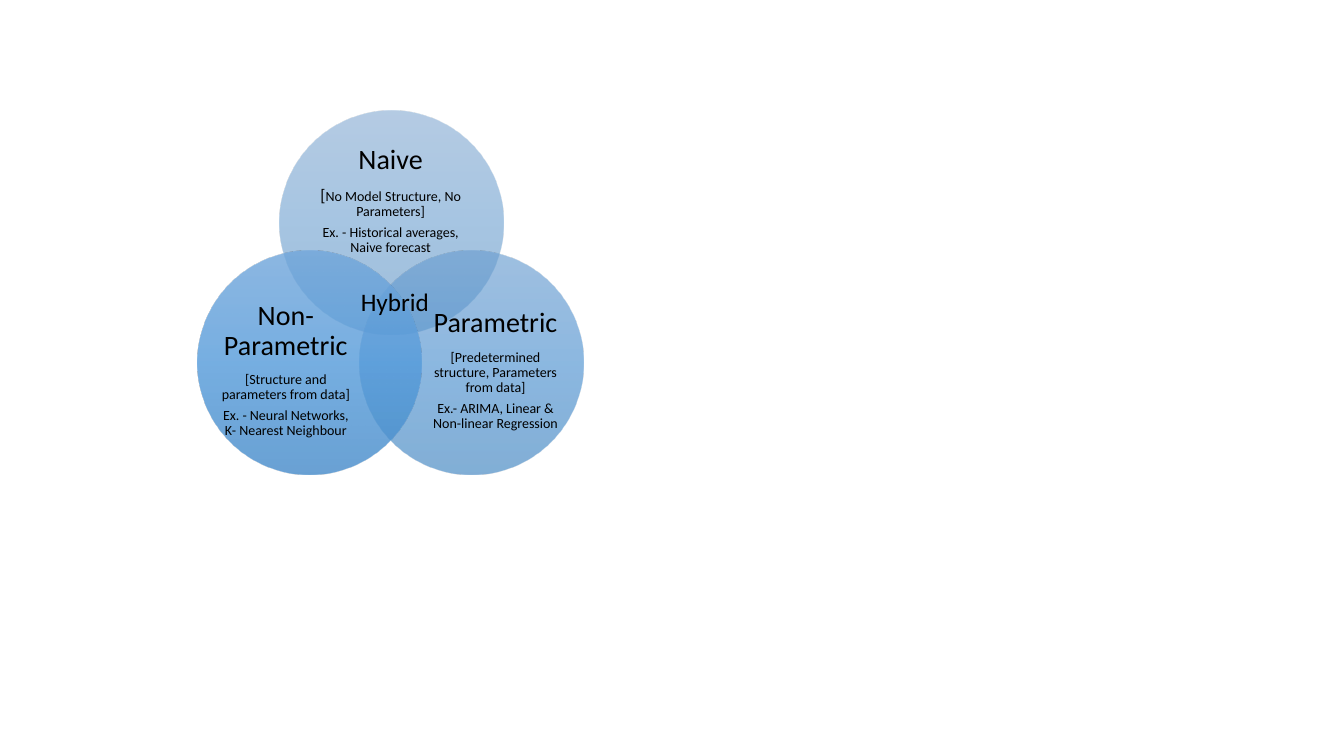
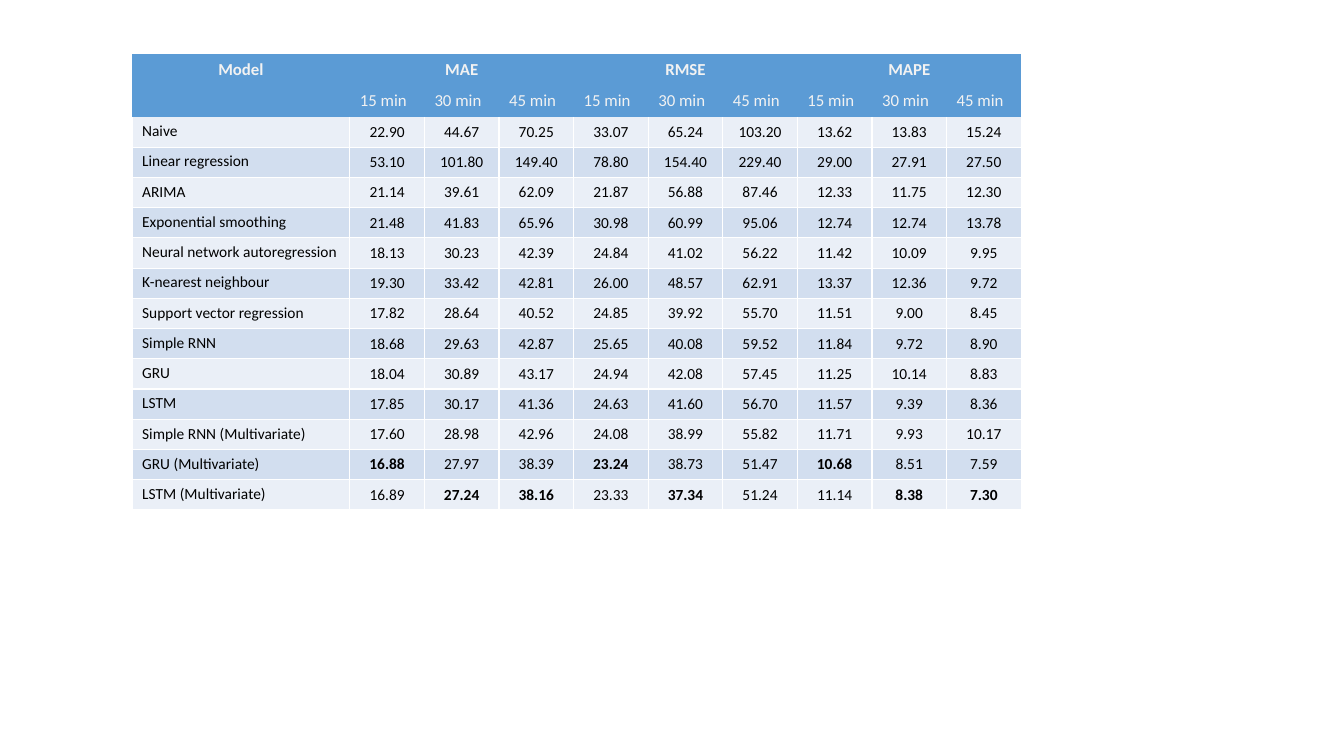
import pptx
import pptx.util
import pptx.dml.color
import pptx.enum.shapes
import pptx.enum.text
import pptx.oxml
import pptx.oxml.ns

Inches, Pt = pptx.util.Inches, pptx.util.Pt
ALIGN = pptx.enum.text.PP_ALIGN
ANCHOR = pptx.enum.text.MSO_ANCHOR
NS = pptx.oxml.ns.nsdecls("a")
FONT = "Calibri"
BLACK, WHITE, HEAD_TEXT = "000000", "FFFFFF", "F2F2F2"
HEAD_FILL, BAND_FILLS = "5B9BD5", ["EAEFF7", "D2DEEF"]
NO_STYLE = "{2D5ABB26-0587-4C30-8999-92F81FD0307C}"


def rgb(color):
    return pptx.dml.color.RGBColor.from_string(color)


def add_text(p, text, size=10, color=BLACK, bold=False, align=ALIGN.LEFT):
    p.alignment = align
    if not text:
        p._p.get_or_add_endParaRPr().set("sz", str(size * 100))
        return
    r = p.add_run()
    r.text = text
    r.font.name = FONT
    r.font.size = Pt(size)
    r.font.bold = bold
    r.font.color.rgb = rgb(color)


prs = pptx.Presentation()
prs.slide_width = Inches(13.33)
prs.slide_height = Inches(7.5)
blank = prs.slide_layouts[6]

s = prs.slides.add_slide(blank)
venn = s.shapes.add_group_shape()
circles = [
    (2.77, 1.1, ["6B99C9", "4D8DC7", "3E7EB7"], 50, (3.06, 1.49, 1.63, 1),
     [[("Naive", 20)],
      [("[", 12), ("No Model Structure, No Parameters]", 10)],
      [("Ex. - Historical averages, Naive forecast", 10)]]),
    (3.57, 2.49, ["6EA0D2", "5194D2", "4184C1"], 65, (4.25, 3.06, 1.33, 1.22),
     [[("Parametric", 20)],
      [("[Predetermined structure, Parameters from data]", 10)],
      [("Ex.- ARIMA, Linear & Non-linear Regression", 10)]]),
    (1.96, 2.49, ["72A7DB", "569CDB", "458BCA"], 80, (2.17, 3.06, 1.33, 1.22),
     [[("Non-Parametric", 20)],
      [("[Structure and parameters from data]", 10)],
      [("Ex. - Neural Networks, K- Nearest Neighbour", 10)]]),
]
for x, y, colors, opacity, box, paragraphs in circles:
    sp = venn.shapes.add_shape(pptx.enum.shapes.MSO_SHAPE.OVAL,
                               Inches(x), Inches(y), Inches(2.22), Inches(2.22))
    sp.shadow.inherit = False
    sp.line.fill.background()
    stops = "".join(
        f'<a:gs pos="{i * 50000}"><a:srgbClr val="{c}">'
        f'<a:alpha val="{opacity * 1000}"/></a:srgbClr></a:gs>'
        for i, c in enumerate(colors))
    sp._element.spPr.find(pptx.oxml.ns.qn("a:prstGeom")).addnext(pptx.oxml.parse_xml(
        f'<a:gradFill {NS} rotWithShape="1"><a:gsLst>{stops}</a:gsLst>'
        '<a:lin ang="5400000" scaled="0"/></a:gradFill>'))

    tf = venn.shapes.add_textbox(*[Inches(v) for v in box]).text_frame
    tf.word_wrap = True
    tf.vertical_anchor = ANCHOR.MIDDLE
    tf.margin_left = tf.margin_right = tf.margin_top = tf.margin_bottom = 0
    for i, runs in enumerate(paragraphs):
        p = tf.add_paragraph() if i else tf.paragraphs[0]
        p.line_spacing = 0.9
        p.space_after = Pt(0.4 * runs[-1][1])
        for text, size in runs:
            add_text(p, text, size=size, align=ALIGN.CENTER)

tf = s.shapes.add_textbox(Inches(3.48), Inches(2.79), Inches(0.97), Inches(0.4)).text_frame
tf.word_wrap = True
add_text(tf.paragraphs[0], "Hybrid", size=18)

s = prs.slides.add_slide(blank)
rows = [
    ["Model", "MAE", "", "", "RMSE", "", "", "MAPE", "", ""],
    [""] + ["15 min", "30 min", "45 min"] * 3,
]
results = [
    ("Naive", "22.90 44.67 70.25 33.07 65.24 103.20 13.62 13.83 15.24"),
    ("Linear regression", "53.10 101.80 149.40 78.80 154.40 229.40 29.00 27.91 27.50"),
    ("ARIMA", "21.14 39.61 62.09 21.87 56.88 87.46 12.33 11.75 12.30"),
    ("Exponential smoothing", "21.48 41.83 65.96 30.98 60.99 95.06 12.74 12.74 13.78"),
    ("Neural network autoregression", "18.13 30.23 42.39 24.84 41.02 56.22 11.42 10.09 9.95"),
    ("K-nearest neighbour", "19.30 33.42 42.81 26.00 48.57 62.91 13.37 12.36 9.72"),
    ("Support vector regression", "17.82 28.64 40.52 24.85 39.92 55.70 11.51 9.00 8.45"),
    ("Simple RNN", "18.68 29.63 42.87 25.65 40.08 59.52 11.84 9.72 8.90"),
    ("GRU", "18.04 30.89 43.17 24.94 42.08 57.45 11.25 10.14 8.83"),
    ("LSTM", "17.85 30.17 41.36 24.63 41.60 56.70 11.57 9.39 8.36"),
    ("Simple RNN (Multivariate)", "17.60 28.98 42.96 24.08 38.99 55.82 11.71 9.93 10.17"),
    ("GRU (Multivariate)", "16.88 27.97 38.39 23.24 38.73 51.47 10.68 8.51 7.59"),
    ("LSTM (Multivariate)", "16.89 27.24 38.16 23.33 37.34 51.24 11.14 8.38 7.30"),
]
best = {"16.88", "27.24", "38.16", "23.24", "37.34", "10.68", "8.38", "7.30"}
rows += [[model] + values.split() for model, values in results]

tbl = s.shapes.add_table(len(rows), 10, Inches(1.31), Inches(0.54),
                         Inches(8.82), Inches(4.52)).table
tbl._tbl.tblPr[0].text = NO_STYLE
tbl.first_row = tbl.horz_banding = False
for j, col in enumerate(tbl.columns):
    col.width = Inches(0.74 if j else 2.16)
for j in (1, 4, 7):
    tbl.cell(0, j).merge(tbl.cell(0, j + 2))

for i, row in enumerate(rows):
    header = i < 2
    tbl.rows[i].height = Inches(0.31 if header else 0.3)
    for j, text in enumerate(row):
        cell = tbl.cell(i, j)
        p = cell.text_frame.paragraphs[0]
        if header:
            add_text(p, text, size=12, color=HEAD_TEXT, bold=i == 0,
                     align=ALIGN.LEFT if i else ALIGN.CENTER)
        else:
            add_text(p, text, size=11, bold=text in best,
                     align=ALIGN.CENTER if j else ALIGN.LEFT)
            if j:
                cell.vertical_anchor = ANCHOR.MIDDLE
            for side in "LRTB" if i > 2 else "LRB":
                cell._tc.get_or_add_tcPr().append(pptx.oxml.parse_xml(
                    f'<a:ln{side} {NS} w="12700"><a:solidFill>'
                    f'<a:srgbClr val="{WHITE}"/></a:solidFill></a:ln{side}>'))
        cell.fill.solid()
        cell.fill.fore_color.rgb = rgb(HEAD_FILL if header else BAND_FILLS[i % 2])

prs.save("out.pptx")
